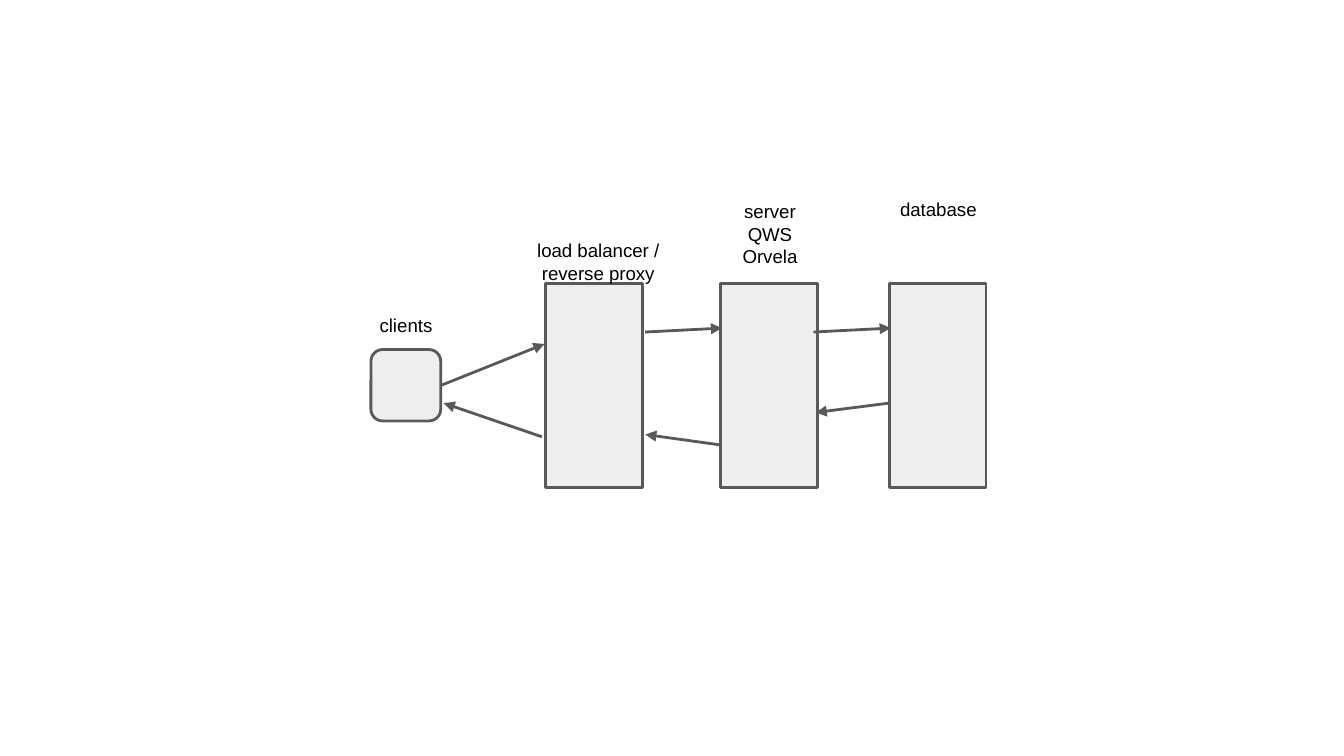
from dataclasses import dataclass

import lxml.etree
import pptx
import pptx.dml.color
import pptx.enum.shapes
import pptx.enum.text
import pptx.oxml.ns
import pptx.util

Pt = pptx.util.Pt
RGB = pptx.dml.color.RGBColor
Shapes = pptx.enum.shapes.MSO_SHAPE


@dataclass(frozen=True)
class Theme:
    fill: RGB = RGB(0xEE, 0xEE, 0xEE)
    line: RGB = RGB(0x59, 0x59, 0x59)
    text: RGB = RGB(0, 0, 0)
    font: str = "Arial"
    label_size: float = 10
    line_width: float = 1.5
    inset: float = 7.2


@dataclass(frozen=True)
class Box:
    left: float
    top: float
    width: float
    height: float


@dataclass(frozen=True)
class Node:
    box: Box
    label_box: Box
    label: tuple[str, ...]
    shape: Shapes = Shapes.RECTANGLE


@dataclass(frozen=True)
class Arrow:
    x1: float
    y1: float
    x2: float
    y2: float


THEME = Theme()
TIER_TOP, TIER_W, TIER_H = 152, 51.8, 109.4
LABEL_W = 75


def tier(left: float, label_box: Box, *label: str) -> Node:
    return Node(Box(left, TIER_TOP, TIER_W, TIER_H), label_box, label)


NODES = [
    tier(292.3, Box(274.3, 121, 92.2, 31), "load balancer / reverse proxy"),
    tier(386, Box(375, 100, LABEL_W, 51), "server", "QWS", "Orvela"),
    Node(Box(198.7, 187.3, 37.4, 38.2), Box(180, 162, LABEL_W, 26),
         ("clients",), Shapes.ROUNDED_RECTANGLE),
    tier(476.5, Box(465.2, 100, LABEL_W, 51), "database"),
]

ARROWS = [
    # requests
    Arrow(236.2, 206.5, 291.7, 184.3),
    Arrow(345.6, 177.9, 386.8, 175.8),
    Arrow(435.8, 177.9, 477.2, 175.8),
    # responses
    Arrow(476, 216, 437, 221),
    Arrow(385.3, 238.3, 345.7, 232.8),
    Arrow(290.3, 234, 237.7, 216),
]


def place(box: Box) -> tuple[pptx.util.Length, ...]:
    return Pt(box.left), Pt(box.top), Pt(box.width), Pt(box.height)


def style_line(line) -> None:
    line.color.rgb = THEME.line
    line.width = Pt(THEME.line_width)


def add_label(s, box: Box, lines: tuple[str, ...]) -> None:
    tf = s.shapes.add_textbox(*place(box)).text_frame
    tf.word_wrap = True
    tf.margin_left = tf.margin_right = Pt(THEME.inset)
    tf.margin_top = tf.margin_bottom = Pt(THEME.inset)
    for i, line in enumerate(lines):
        p = tf.add_paragraph() if i else tf.paragraphs[0]
        p.alignment = pptx.enum.text.PP_ALIGN.CENTER
        r = p.add_run()
        r.text = line
        r.font.name = THEME.font
        r.font.size = Pt(THEME.label_size)
        r.font.color.rgb = THEME.text


def add_node(s, node: Node) -> None:
    sp = s.shapes.add_shape(node.shape, *place(node.box))
    sp.shadow.inherit = False
    sp.fill.solid()
    sp.fill.fore_color.rgb = THEME.fill
    style_line(sp.line)
    add_label(s, node.label_box, node.label)


def add_arrow(s, arrow: Arrow) -> None:
    cn = s.shapes.add_connector(
        pptx.enum.shapes.MSO_CONNECTOR.STRAIGHT,
        Pt(arrow.x1), Pt(arrow.y1), Pt(arrow.x2), Pt(arrow.y2))
    style_line(cn.line)
    qn = pptx.oxml.ns.qn
    sp_pr = cn._element.spPr
    lxml.etree.SubElement(sp_pr.find(qn("a:ln")), qn("a:tailEnd"), type="triangle")
    lxml.etree.SubElement(sp_pr, qn("a:effectLst"))


def main() -> None:
    prs = pptx.Presentation()
    prs.slide_width, prs.slide_height = Pt(720), Pt(405)
    s = prs.slides.add_slide(prs.slide_layouts.get_by_name("Blank"))
    for node in NODES:
        add_node(s, node)
    for arrow in ARROWS:
        add_arrow(s, arrow)
    prs.save("out.pptx")


if __name__ == "__main__":
    main()
